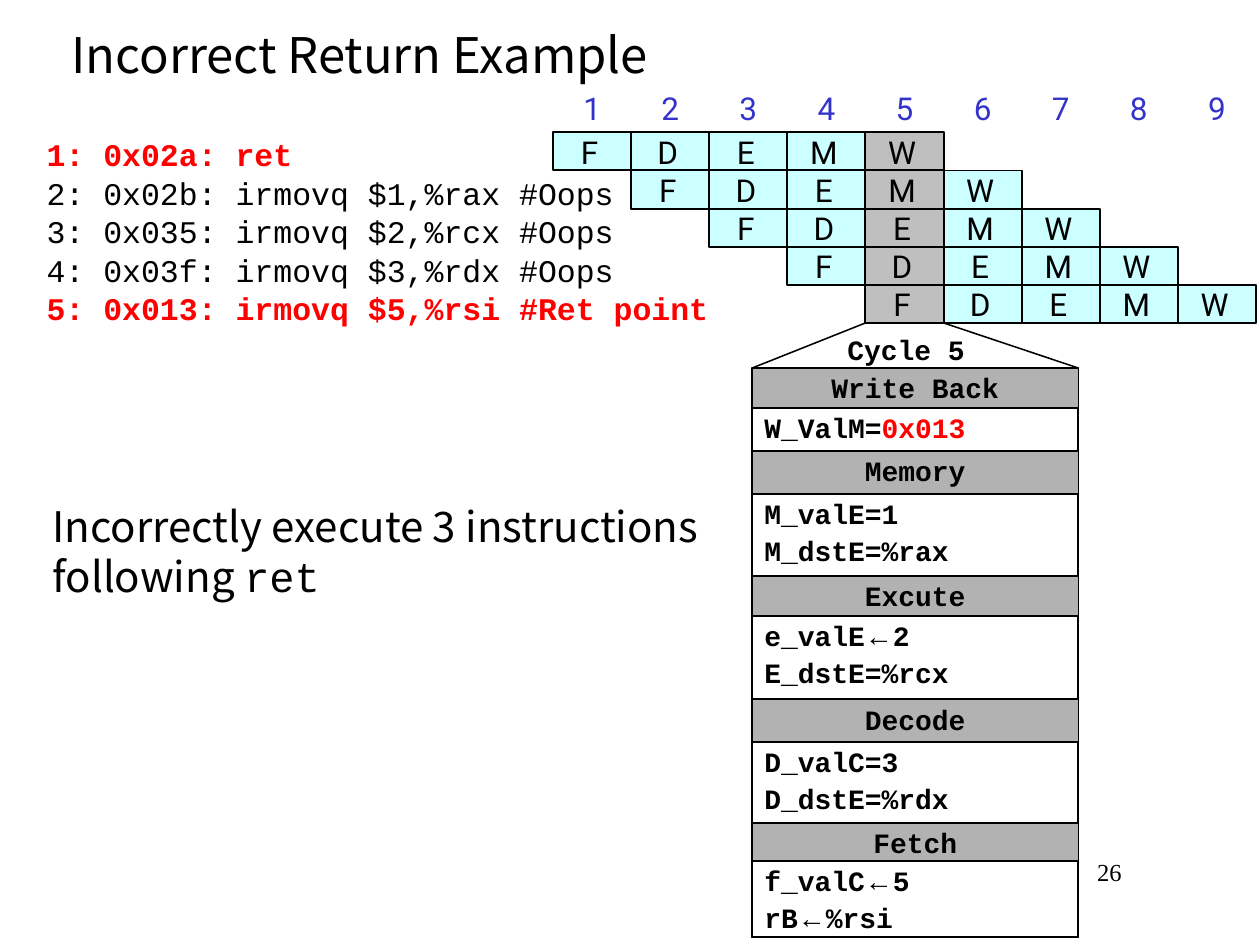
from dataclasses import dataclass

from lxml import etree
from pptx import Presentation
from pptx.dml.color import RGBColor
from pptx.enum.shapes import MSO_CONNECTOR, MSO_SHAPE
from pptx.enum.text import MSO_ANCHOR, PP_ALIGN
from pptx.oxml.ns import qn
from pptx.util import Cm, Pt

LEFT, CENTER, RIGHT = PP_ALIGN.LEFT, PP_ALIGN.CENTER, PP_ALIGN.RIGHT
TOP, MIDDLE = MSO_ANCHOR.TOP, MSO_ANCHOR.MIDDLE
RECTANGLE = MSO_SHAPE.RECTANGLE
STRAIGHT = MSO_CONNECTOR.STRAIGHT
INSETS = (0.25, 0.13, 0.25, 0.13)


@dataclass(frozen=True)
class Theme:
    black: str = "000000"
    white: str = "FFFFFF"
    red: str = "FF0000"
    blue: str = "3333CC"
    cell: str = "CCFFFF"
    current_cell: str = "BFBFBF"
    stage_header: str = "B2B2B2"
    body_font: str = "Noto Sans CJK KR"
    code_font: str = "Courier New"
    grid_font: str = "Roboto"
    arrow_font: str = "Arial"
    number_font: str = "Times New Roman"
    title_size: float = 28
    body_size: float = 24
    code_size: float = 18
    stage_size: float = 16
    number_size: float = 14
    thin: float = 0.88
    thick: float = 1.13


@dataclass(frozen=True)
class Run:
    text: str
    font: str
    size: float
    color: str = Theme.black
    bold: bool = False


class SlideBuilder:
    def __init__(self, slide, theme):
        self.slide = slide
        self.theme = theme

    def fill_text(self, shape, paragraphs, align=LEFT, anchor=TOP, insets=INSETS,
                  spacing=1.0, before=0, wrap=True):
        """Fill a shape with paragraphs, each one a list of runs."""
        frame = shape.text_frame
        frame.word_wrap = wrap
        frame.vertical_anchor = anchor
        (frame.margin_left, frame.margin_top,
         frame.margin_right, frame.margin_bottom) = map(Cm, insets)
        for index, runs in enumerate(paragraphs):
            paragraph = frame.add_paragraph() if index else frame.paragraphs[0]
            paragraph.alignment = align
            paragraph.line_spacing = spacing
            paragraph.space_before = Pt(before if index else 0)
            for item in runs:
                run = paragraph.add_run()
                run.text = item.text
                run.font.name = item.font
                run.font.size = Pt(item.size)
                run.font.bold = item.bold
                run.font.color.rgb = RGBColor.from_string(item.color)

    def title(self, text, box):
        shape = self.slide.shapes.title
        shape.left, shape.top, shape.width, shape.height = map(Cm, box)
        run = Run(text, self.theme.body_font, self.theme.title_size)
        self.fill_text(shape, [[run]], anchor=MIDDLE)

    def text(self, box, paragraphs, **style):
        shape = self.slide.shapes.add_textbox(*map(Cm, box))
        self.fill_text(shape, paragraphs, **style)

    def rectangle(self, box, fill, line_width, paragraphs, **style):
        shape = self.slide.shapes.add_shape(RECTANGLE, *map(Cm, box))
        shape.shadow.inherit = False
        shape.fill.solid()
        shape.fill.fore_color.rgb = RGBColor.from_string(fill)
        shape.line.color.rgb = RGBColor.from_string(self.theme.black)
        shape.line.width = Pt(line_width)
        self.fill_text(shape, paragraphs, **style)

    def line(self, start, end):
        connector = self.slide.shapes.add_connector(STRAIGHT, *map(Cm, start + end))
        connector.line.color.rgb = RGBColor.from_string(self.theme.black)
        connector.line.width = Pt(self.theme.thin)
        etree.SubElement(connector._element.spPr, qn("a:effectLst"))


CODE = [
    ("1: 0x02a: ret", True),
    ("2: 0x02b: irmovq $1,%rax #Oops", False),
    ("3: 0x035: irmovq $2,%rcx #Oops", False),
    ("4: 0x03f: irmovq $3,%rdx #Oops", False),
    ("5: 0x013: irmovq $5,%rsi #Ret point", True),
]
PIPELINE = "FDEMW"
CYCLES, CURRENT = 9, 5
GRID_LEFT, GRID_TOP = 11.15, 2.67
CELL_WIDTH, CELL_HEIGHT = 14.17 / CYCLES, 3.84 / len(CODE)
GRID_BOTTOM = GRID_TOP + len(CODE) * CELL_HEIGHT

STAGE_LEFT, STAGE_WIDTH, STAGE_BOTTOM = 15.16, 6.58, 18.9
# Name, top of the header, top of the body, register values
STAGES = [
    ("Write Back", 7.42, 8.23, ["W_ValM=0x013"]),
    ("Memory", 9.09, 9.96, ["M_valE=1", "M_dstE=%rax"]),
    ("Excute", 11.61, 12.42, ["e_valE←2", "E_dstE=%rcx"]),
    ("Decode", 14.1, 14.96, ["D_valC=3", "D_dstE=%rdx"]),
    ("Fetch", 16.59, 17.35, ["f_valC←5", "rB←%rsi"]),
]


def column_left(column):
    return GRID_LEFT + column * CELL_WIDTH


def add_code(builder):
    theme = builder.theme
    lines = [[Run(text, theme.code_font, theme.code_size,
                  theme.red if marked else theme.black, marked)]
             for text, marked in CODE]
    builder.text((0.69, 2.74, 24.28, 4.32), lines, spacing=0.8, before=4.7)


def add_pipeline(builder):
    theme = builder.theme
    for column in range(CYCLES):
        number = Run(str(column + 1), theme.grid_font, theme.code_size, theme.blue)
        builder.text((column_left(column), 1.88, CELL_WIDTH, 0.69), [[number]],
                     align=CENTER, insets=(0, 0, 0, 0), spacing=0.9)
    for row in range(len(CODE)):
        for column, letter in enumerate(PIPELINE, start=row):
            fill = theme.current_cell if column == CURRENT - 1 else theme.cell
            box = (column_left(column), GRID_TOP + row * CELL_HEIGHT,
                   CELL_WIDTH, CELL_HEIGHT)
            builder.rectangle(box, fill, theme.thick,
                              [[Run(letter, theme.grid_font, theme.code_size)]],
                              align=CENTER, insets=(0, 0.1, 0.1, 0), spacing=0.9)


def value_runs(text, theme):
    """Split a register value so that its arrow or return address stands out."""
    def code(part, color=theme.black):
        return Run(part, theme.code_font, theme.stage_size, color, True)

    if "←" in text:
        target, value = text.split("←")
        return [code(target), Run("←", theme.arrow_font, theme.stage_size), code(value)]
    if text.endswith("0x013"):
        return [code(text.removesuffix("0x013")), code("0x013", theme.red)]
    return [code(text)]


def add_stages(builder):
    theme = builder.theme
    cycle = Run(f"Cycle {CURRENT}", theme.code_font, theme.stage_size, bold=True)
    builder.text((17.07, 6.78, 2.39, 0.61), [[cycle]], align=CENTER,
                 insets=(0, 0, 0, 0), spacing=0.9, wrap=False)
    first_top = STAGES[0][1]
    builder.line((column_left(CURRENT - 1), GRID_BOTTOM), (STAGE_LEFT, first_top))
    builder.line((column_left(CURRENT), GRID_BOTTOM),
                 (STAGE_LEFT + STAGE_WIDTH, first_top))
    bottoms = [stage[1] for stage in STAGES[1:]] + [STAGE_BOTTOM]
    for (name, top, body_top, values), bottom in zip(STAGES, bottoms):
        heading = Run(name, theme.code_font, theme.stage_size, bold=True)
        builder.rectangle((STAGE_LEFT, top, STAGE_WIDTH, bottom - top),
                          theme.stage_header, theme.thin, [[heading]],
                          align=CENTER, spacing=0.9)
        builder.rectangle((STAGE_LEFT, body_top, STAGE_WIDTH, bottom - body_top),
                          theme.white, theme.thick,
                          [value_runs(value, theme) for value in values],
                          spacing=0.9, before=4)


def main():
    presentation = Presentation()
    presentation.slide_width, presentation.slide_height = Cm(25.4), Cm(19.05)
    theme = Theme()
    slide = presentation.slides.add_slide(presentation.slide_layouts[5])
    builder = SlideBuilder(slide, theme)
    builder.title("Incorrect Return Example", (1.19, 0, 24.21, 2.16))
    add_code(builder)
    add_pipeline(builder)
    add_stages(builder)
    builder.text((0.81, 9.96, 14.22, 2.87), [[
        Run("Incorrectly execute 3 instructions following ",
            theme.body_font, theme.body_size),
        Run("ret", theme.code_font, theme.body_size)]])
    builder.text((19.25, 17.15, 3.61, 1.27),
                 [[Run("26", theme.number_font, theme.number_size)]], align=RIGHT)
    presentation.save("out.pptx")


if __name__ == "__main__":
    main()
